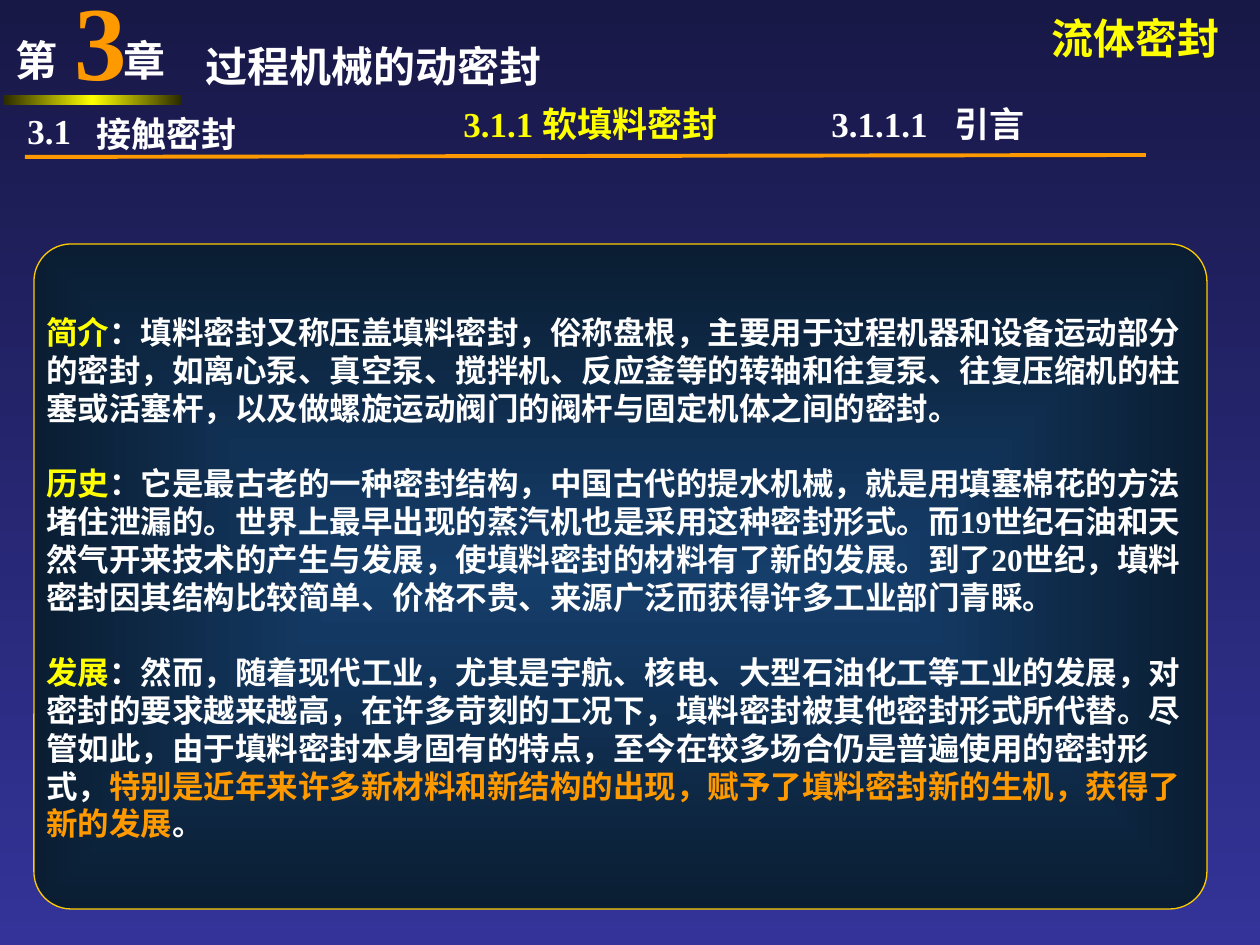
import pptx
import pptx.dml.color
import pptx.enum.shapes
import pptx.enum.text
import pptx.oxml
import pptx.oxml.ns
import pptx.util

COLORS = {
    "white": "FFFFFF", "yellow": "FFFF00", "orange": "FF9900", "gold": "FFCC00",
    "olive": "292900", "night": "181847", "indigo": "333399",
    "panel_core": "153E6B", "panel_edge": "0A1D32",
}
SERIF = "Times New Roman"
SANS = "Noto Sans CJK SC"
EMU_PER_PX = 914400 / 126
NS = pptx.oxml.ns.nsdecls("a")
qn = pptx.oxml.ns.qn


def px(length):
    return pptx.util.Emu(round(length * EMU_PER_PX))


def rgb(name):
    return pptx.dml.color.RGBColor.from_string(COLORS[name])


class SlideBuilder:
    def __init__(self, slide):
        self.slide = slide

    def gradient(self, holder, names, angle=None):
        """Swap the solid fill in holder for a linear or, without angle, a centred gradient."""
        step = 100000 // (len(names) - 1)
        stops = "".join(
            f'<a:gs pos="{i * step}"><a:srgbClr val="{COLORS[name]}"/></a:gs>'
            for i, name in enumerate(names))
        if angle is None:
            direction = ('<a:path path="rect"><a:fillToRect l="50000" t="50000" '
                         'r="50000" b="50000"/></a:path>')
        else:
            direction = f'<a:lin ang="{angle * 60000}" scaled="0"/>'
        fill = pptx.oxml.parse_xml(
            f'<a:gradFill {NS} rotWithShape="1"><a:gsLst>{stops}</a:gsLst>'
            f'{direction}</a:gradFill>')
        holder.replace(holder.find(qn("a:solidFill")), fill)

    def background(self, names, angle):
        self.slide.background.fill.solid()
        self.gradient(self.slide.element.find(".//" + qn("p:bgPr")), names, angle)

    def shape(self, kind, box, names, angle=None, line=None, radius=None):
        shape = self.slide.shapes.add_shape(kind, *map(px, box))
        shape.shadow.inherit = False
        if radius is not None:
            shape.adjustments[0] = radius
        shape.fill.solid()
        self.gradient(shape.element.spPr, names, angle)
        if line:
            shape.line.color.rgb = rgb(line)
            shape.line.width = pptx.util.Pt(0.75)
        else:
            shape.line.fill.background()

    def rule(self, start, end, color, width):
        rule = self.slide.shapes.add_connector(
            pptx.enum.shapes.MSO_CONNECTOR.STRAIGHT, *map(px, start + end))
        rule.line.color.rgb = rgb(color)
        rule.line.width = pptx.util.Pt(width)
        rule.element.spPr.append(pptx.oxml.parse_xml(f"<a:effectLst {NS}/>"))

    def text(self, paragraphs, box, size=20, color="white", font=SERIF,
             inset=6, gap=0, tab=None, wrap=False):
        """Write a string, or paragraphs given as lists of (text, colour) runs."""
        if isinstance(paragraphs, str):
            paragraphs = [[(paragraphs, color)]]
        frame = self.slide.shapes.add_textbox(*map(px, box)).text_frame
        frame.word_wrap = wrap
        frame.vertical_anchor = pptx.enum.text.MSO_ANCHOR.TOP
        frame.margin_top = frame.margin_bottom = px(inset)
        for i, runs in enumerate(paragraphs):
            paragraph = frame.add_paragraph() if i else frame.paragraphs[0]
            paragraph.alignment = pptx.enum.text.PP_ALIGN.LEFT
            properties = paragraph._p.get_or_add_pPr()
            properties.set("hangingPunct", "0")
            if tab:
                properties.append(pptx.oxml.parse_xml(
                    f'<a:tabLst {NS}><a:tab pos="{px(tab)}" algn="l"/></a:tabLst>'))
            if i:
                paragraph.space_before = pptx.util.Pt(gap)
            for words, run_color in runs:
                run = paragraph.add_run()
                run.text = words
                run.font.size = pptx.util.Pt(size)
                run.font.bold = True
                run.font.name = font
                run.font.color.rgb = rgb(run_color)
                run.font._element.append(pptx.oxml.parse_xml(
                    f'<a:ea {NS} typeface="{SANS}"/>'))


INTRODUCTION = [
    [("简介", "yellow"),
     ("：填料密封又称压盖填料密封，俗称盘根，主要用于过程机器和设备运动部分的密封，"
      "如离心泵、真空泵、搅拌机、反应釜等的转轴和往复泵、往复压缩机的柱塞或活塞杆，"
      "以及做螺旋运动阀门的阀杆与固定机体之间的密封。", "white")],
    [("历史", "yellow"),
     ("：它是最古老的一种密封结构，中国古代的提水机械，就是用填塞棉花的方法堵住泄漏的。"
      "世界上最早出现的蒸汽机也是采用这种密封形式。而19世纪石油和天然气开来技术的产生与发展，"
      "使填料密封的材料有了新的发展。到了20世纪，填料密封因其结构比较简单、价格不贵、"
      "来源广泛而获得许多工业部门青睬。", "white")],
    [("发展", "yellow"),
     ("：然而，随着现代工业，尤其是宇航、核电、大型石油化工等工业的发展，"
      "对密封的要求越来越高，在许多苛刻的工况下，填料密封被其他密封形式所代替。"
      "尽管如此，由于填料密封本身固有的特点，至今在较多场合仍是普遍使用的密封形式，", "white"),
     ("特别是近年来许多新材料和新结构的出现，赋予了填料密封新的生机，获得了新的发展", "orange"),
     ("。", "white")],
]


def main():
    deck = pptx.Presentation()
    deck.slide_width, deck.slide_height = px(1260), px(945)
    page = SlideBuilder(deck.slides.add_slide(deck.slide_layouts[6]))
    shapes = pptx.enum.shapes.MSO_SHAPE

    page.background(["night", "indigo"], 90)
    page.shape(shapes.ROUNDED_RECTANGLE, (34, 244, 1173, 665),
               ["panel_core", "panel_edge"], line="gold", radius=0.056)

    page.text("第\t章", (3, 29, 220, 63), size=24, tab=108, wrap=True)
    page.text("3", (62, -24, 116, 126), size=60, color="orange", inset=0, wrap=True)
    page.shape(shapes.RECTANGLE, (3, 95, 179, 10), ["olive", "yellow", "olive"], 0)
    page.text("过程机械的动密封", (193, 35, 427, 63), size=24, wrap=True)
    page.text("流体密封", (1039, 6, 198, 59), size=24, color="yellow", font=SANS)

    page.text("3.1", (15, 103, 136, 55), wrap=True)
    page.text("接触密封", (84, 106, 348, 54), wrap=True)
    page.text("3.1.1 软填料密封", (451, 96, 320, 55), color="yellow", wrap=True)
    page.text("3.1.1.1\t引言", (819, 96, 358, 55), tab=123, wrap=True)
    page.rule((25, 157), (1146, 155), "orange", 2.25)

    page.text(INTRODUCTION, (34, 307, 1171, 542), size=18, gap=21.6, wrap=True)
    deck.save("out.pptx")


if __name__ == "__main__":
    main()
